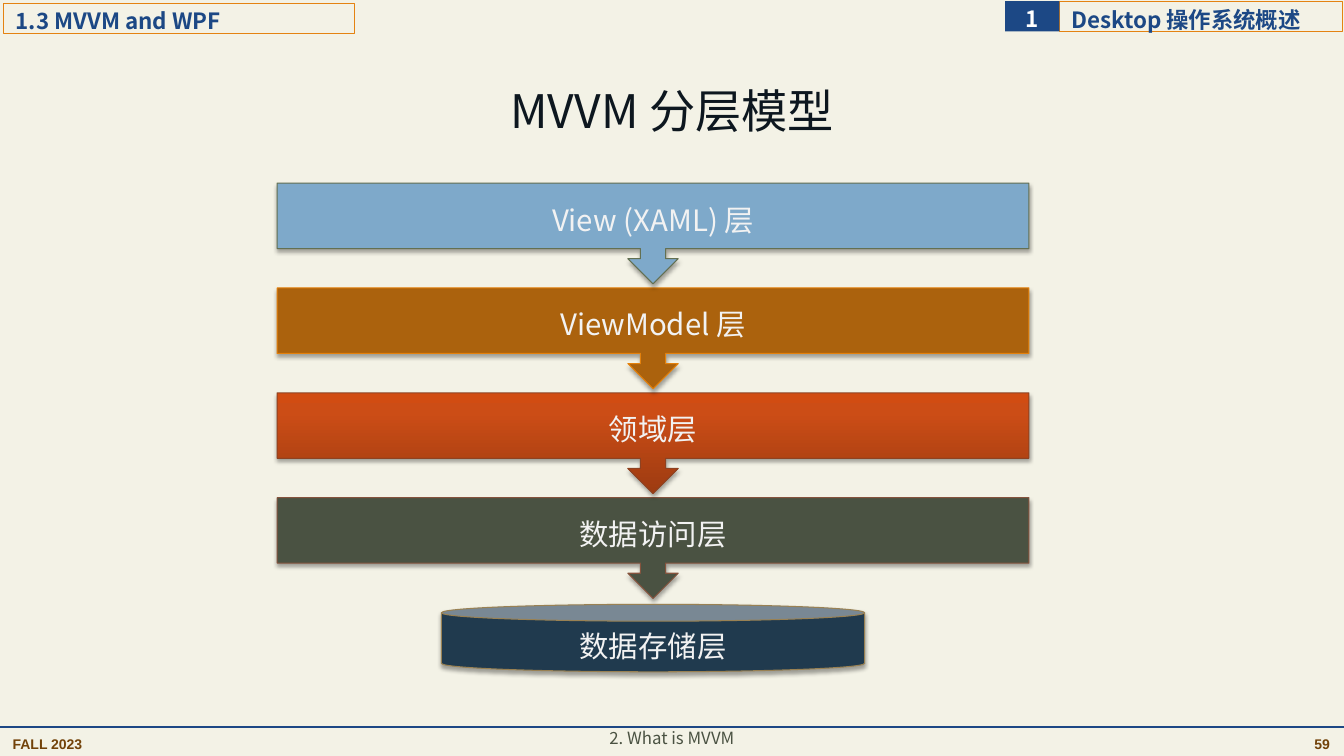
from dataclasses import dataclass

from pptx import Presentation
from pptx import util as u
from pptx.dml.color import RGBColor
from pptx.enum import shapes, text
from pptx.oxml import parse_xml
from pptx.oxml.ns import qn

NAMESPACE = 'xmlns:a="http://schemas.openxmlformats.org/drawingml/2006/main"'
LEFT, CENTER, RIGHT = text.PP_ALIGN.LEFT, text.PP_ALIGN.CENTER, text.PP_ALIGN.RIGHT
TOP, MIDDLE = text.MSO_ANCHOR.TOP, text.MSO_ANCHOR.MIDDLE


@dataclass(frozen=True)
class Theme:
    sans: str = "Noto Sans CJK SC"
    footer_font: str = "Arial"
    background: str = "F3F2E6"
    navy: str = "1C4885"
    orange: str = "E48312"
    brown: str = "724209"
    olive: str = "4A5242"
    ink: str = "0D171F"
    white: str = "FFFFFF"
    layer_text: str = "F2F2F2"
    title_size: float = 33
    layer_size: float = 21
    header_size: float = 16
    section_size: float = 12
    footer_size: float = 10


class SlideBuilder:
    def __init__(self, slide, theme):
        self.slide = slide
        self.theme = theme
        slide.background.fill.solid()
        slide.background.fill.fore_color.rgb = RGBColor.from_string(theme.background)

    def set_text(self, shape, words, size, color, font=None, bold=False, align=CENTER,
                 anchor=MIDDLE, insets=(7.2, 3.6, 7.2, 3.6), spacing=1.2, wrap=True):
        frame = shape.text_frame
        frame.text = words
        frame.word_wrap = wrap
        frame.auto_size = text.MSO_AUTO_SIZE.NONE
        frame.vertical_anchor = anchor
        (frame.margin_left, frame.margin_top,
         frame.margin_right, frame.margin_bottom) = map(u.Pt, insets)
        paragraph = frame.paragraphs[0]
        paragraph.alignment = align
        paragraph.line_spacing = spacing
        name = font or self.theme.sans
        for run in paragraph.runs:
            run.font.name = name
            run.font.size = u.Pt(size)
            run.font.bold = bold
            run.font.color.rgb = RGBColor.from_string(color)
            latin = run.font._element.find(qn("a:latin"))
            latin.addnext(parse_xml(f'<a:ea {NAMESPACE} typeface="{name}"/>'))

    def title(self, words, box):
        shape = self.slide.shapes.title
        shape.left, shape.top, shape.width, shape.height = map(u.Pt, box)
        self.set_text(shape, words, self.theme.title_size, self.theme.ink,
                      insets=(6, 3, 6, 3), spacing=0.9)

    def textbox(self, words, box, size, color, **style):
        shape = self.slide.shapes.add_textbox(*map(u.Pt, box))
        self.set_text(shape, words, size, color, anchor=TOP, **style)

    def shape(self, kind, box, fill=None, line=None):
        shape = self.slide.shapes.add_shape(kind, *map(u.Pt, box))
        shape.shadow.inherit = False
        if fill is None or isinstance(fill, list):
            shape.fill.background()
        else:
            shape.fill.solid()
            shape.fill.fore_color.rgb = RGBColor.from_string(fill)
        if isinstance(fill, list):
            self.gradient(shape, fill)
        if line:
            shape.line.color.rgb = RGBColor.from_string(line)
            shape.line.width = u.Pt(0.75)
        else:
            shape.line.fill.background()
        return shape

    def gradient(self, shape, stops):
        marks = "".join(
            f'<a:gs pos="{position * 1000}"><a:srgbClr val="{color}"/></a:gs>'
            for position, color in stops)
        properties = shape._element.spPr
        properties.replace(properties.find(qn("a:noFill")), parse_xml(
            f'<a:gradFill {NAMESPACE} rotWithShape="1"><a:gsLst>{marks}</a:gsLst>'
            '<a:lin ang="16200000" scaled="0"/></a:gradFill>'))

    def header(self, words, box, fill=None, line=None, color=None,
               align=LEFT, inset=8.64, wrap=True):
        shape = self.shape(shapes.MSO_SHAPE.RECTANGLE, box, fill, line)
        self.set_text(shape, words, self.theme.header_size, color or self.theme.navy,
                      bold=True, align=align, insets=(inset, 0, 0, 0), wrap=wrap)
        return shape

    def layer(self, kind, words, box, fill, line):
        shape = self.shape(kind, box, fill, line)
        effects = shape._element.spPr.find(qn("a:effectLst"))
        effects.append(parse_xml(
            f'<a:outerShdw {NAMESPACE} blurRad="{u.Pt(3.1)}" dist="{u.Pt(1.8)}" '
            'dir="5400000" rotWithShape="0"><a:srgbClr val="000000">'
            '<a:alpha val="35000"/></a:srgbClr></a:outerShdw>'))
        self.set_text(shape, words, self.theme.layer_size, self.theme.layer_text)

    def rule(self, start_x, end_x, y, color, width):
        connector = self.slide.shapes.add_connector(
            shapes.MSO_CONNECTOR.STRAIGHT, u.Pt(start_x), u.Pt(y), u.Pt(end_x), u.Pt(y))
        connector.line.color.rgb = RGBColor.from_string(color)
        connector.line.width = u.Pt(width)
        connector._element.spPr.append(parse_xml(f"<a:effectLst {NAMESPACE}/>"))


def main():
    presentation = Presentation()
    presentation.slide_width, presentation.slide_height = u.Pt(960), u.Pt(540)
    theme = Theme()
    slide = presentation.slides.add_slide(presentation.slide_layouts[5])
    builder = SlideBuilder(slide, theme)

    for words, left, align in (("FALL 2023", 2, LEFT), ("59", 757, RIGHT)):
        builder.textbox(words, (left, 519.8, 200, 22), theme.footer_size, theme.brown,
                        font=theme.footer_font, bold=True, align=align)

    chapter = builder.header("Desktop 操作系统概述", (756.7, 1.2, 202.3, 21.6),
                             line=theme.orange)
    number = builder.header("1", (718, 0.9, 38.7, 21.6), fill=theme.navy,
                            color=theme.white, align=CENTER, inset=0, wrap=False)
    slide.shapes.add_group_shape([chapter, number])
    builder.header("1.3 MVVM and WPF", (2.6, 2.2, 250.8, 21.6), line=theme.orange)
    builder.rule(0, 960, 519.1, theme.navy, 1.25)

    layers = [
        ("View (XAML) 层", "7EA9CA", "637052"),
        ("ViewModel 层", "AB620D", "E4810C"),
        ("领域层", [(0, "9D3B11"), (80, "CC4D16"), (100, "D14C12")], "8E4221"),
        ("数据访问层", theme.olive, "85533D"),
    ]
    first_top, step = 130.8, 74.9
    for index, (words, fill, line) in reversed(list(enumerate(layers))):
        builder.layer(shapes.MSO_SHAPE.DOWN_ARROW_CALLOUT, words,
                      (198, first_top + index * step, 537, 72), fill, line)
    builder.layer(shapes.MSO_SHAPE.CAN, "数据存储层", (315.3, 431.7, 302.4, 48.2),
                  "203A4E", "998153")

    builder.title("MVVM 分层模型", (66, 28.8, 828, 104.4))
    builder.textbox("2. What is MVVM", (120, 517, 720, 23), theme.section_size,
                    theme.olive, insets=(0, 0, 0, 0))
    presentation.save("out.pptx")


if __name__ == "__main__":
    main()
